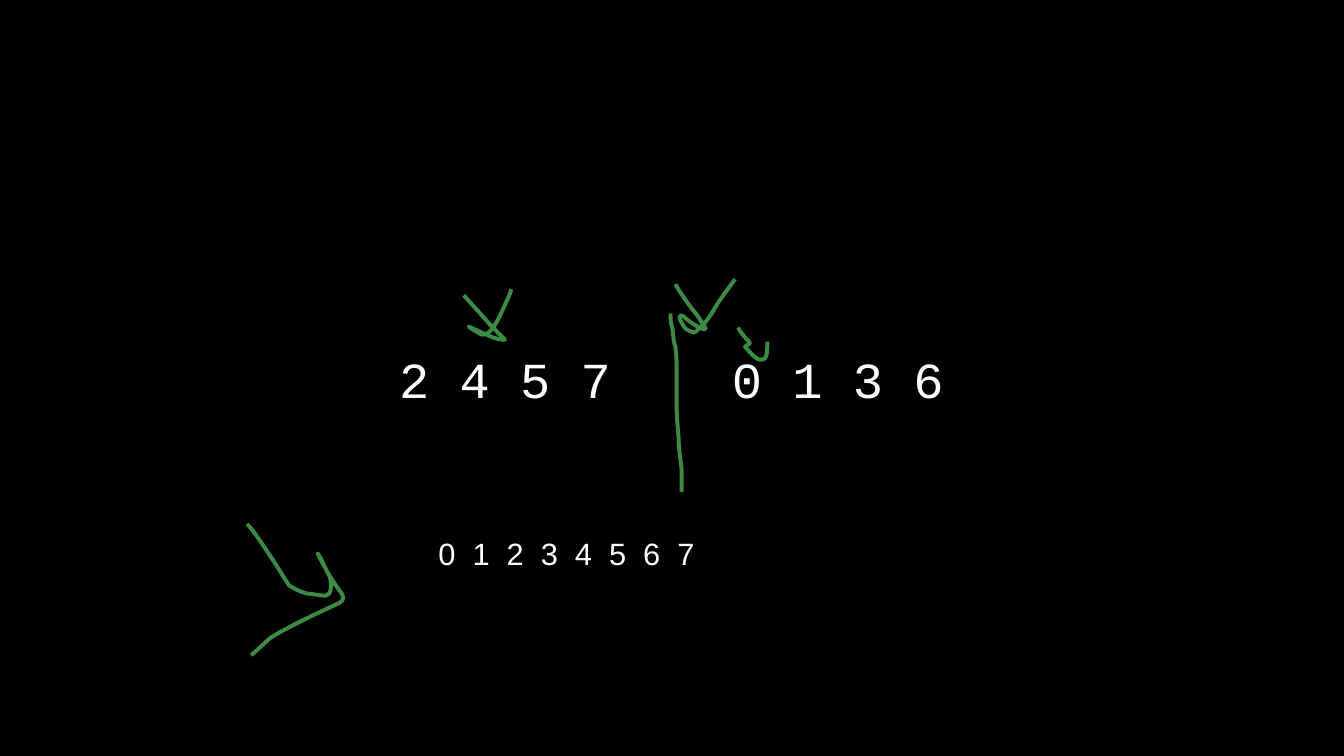
from lxml import etree
from pptx import Presentation
from pptx.dml.color import RGBColor
from pptx.enum import text
from pptx.oxml.ns import qn
from pptx.util import Inches, Pt

BLACK, WHITE, GREEN = "000000", "FFFFFF", "3D8A44"
HALVES = ("2 4 5 7", "0 1 3 6")
MERGED = "0 1 2 3 4 5 6 7"

# Each pen stroke: a start point, then two control points and an end point per curve.
DIVIDER = [
    (6.65, 3.11),
    (6.65, 3.16), (6.65, 3.21), (6.67, 3.26),
    (6.68, 3.35), (6.68, 3.4), (6.7, 3.44),
    (6.7, 3.49), (6.71, 3.53), (6.71, 3.58),
    (6.71, 3.63), (6.71, 3.7), (6.71, 3.79),
    (6.71, 3.87), (6.71, 3.95), (6.71, 4),
    (6.71, 4.1), (6.72, 4.23), (6.73, 4.33),
    (6.73, 4.43), (6.75, 4.57), (6.76, 4.65),
    (6.76, 4.75), (6.76, 4.83), (6.76, 4.88),
]
LEFT_ARROW = [
    (4.6, 2.93),
    (4.7, 3.04), (4.8, 3.15), (4.85, 3.21),
    (4.9, 3.26), (4.97, 3.33), (5.01, 3.37),
    (4.92, 3.37), (4.87, 3.34), (4.78, 3.3),
    (4.74, 3.28), (4.69, 3.26), (4.65, 3.24),
    (4.7, 3.28), (4.74, 3.3), (4.78, 3.32),
    (4.83, 3.33), (4.89, 3.28), (4.97, 3.11),
    (5.01, 3.02), (5.04, 2.96), (5.06, 2.91),
    (5.06, 2.91), (5.07, 2.87), (5.07, 2.87),
]
RIGHT_ARROW = [
    (6.7, 2.82),
    (6.72, 2.87), (6.81, 2.99), (6.86, 3.06),
    (6.91, 3.12), (6.94, 3.16), (6.96, 3.2),
    (6.99, 3.24), (7.03, 3.28), (6.96, 3.26),
    (6.91, 3.24), (6.82, 3.18), (6.78, 3.14),
    (6.73, 3.11), (6.73, 3.16), (6.76, 3.2),
    (6.78, 3.25), (6.82, 3.29), (6.89, 3.3),
    (6.99, 3.21), (7.04, 3.15), (7.1, 3.04),
    (7.14, 2.97), (7.22, 2.87), (7.29, 2.77),
]
MERGE_ARROW = [
    (2.45, 5.2),
    (2.52, 5.26), (2.66, 5.49), (2.73, 5.59),
    (2.8, 5.7), (2.82, 5.74), (2.87, 5.81),
    (2.92, 5.84), (2.97, 5.87), (3.05, 5.89),
    (3.11, 5.89), (3.16, 5.91), (3.23, 5.91),
    (3.28, 5.91), (3.3, 5.81), (3.27, 5.72),
    (3.2, 5.59), (3.19, 5.54), (3.15, 5.49),
    (3.24, 5.67), (3.3, 5.77), (3.37, 5.86),
    (3.41, 5.91), (3.42, 5.95), (3.37, 5.98),
    (3.2, 6.06), (2.87, 6.21), (2.68, 6.33),
    (2.58, 6.42), (2.52, 6.48), (2.49, 6.5),
]
ZERO_HOOK = [
    (7.32, 3.25),
    (7.34, 3.29), (7.37, 3.33), (7.42, 3.38),
    (7.46, 3.43), (7.42, 3.4), (7.39, 3.44),
    (7.43, 3.49), (7.47, 3.53), (7.51, 3.56),
    (7.55, 3.58), (7.59, 3.57), (7.6, 3.53),
    (7.61, 3.49), (7.61, 3.44), (7.61, 3.39),
]
STROKES = (DIVIDER, LEFT_ARROW, RIGHT_ARROW, MERGE_ARROW)


def rgb(value):
    return RGBColor.from_string(value)


def place(sp, left, top, width, height):
    sp.left, sp.top, sp.width, sp.height = map(Inches, (left, top, width, height))


def add_run(p, words, *, size, font, color=WHITE, tracking=0):
    """Add a run; tracking is extra space after each character, in points."""
    r = p.add_run()
    r.text = words
    r.font.size, r.font.name, r.font.bold = Pt(size), font, False
    r.font.color.rgb = rgb(color)
    if tracking:
        r._r.get_or_add_rPr().set("spc", str(round(tracking * 100)))


def bend(sp):
    """Turn every three line segments of a freeform into one cubic curve."""
    outline = sp._element.xpath(".//a:path")[0]
    lines = outline.findall(qn("a:lnTo"))
    for i in range(0, len(lines), 3):
        curve = etree.SubElement(outline, qn("a:cubicBezTo"))
        for line in lines[i:i + 3]:
            curve.append(line[0])
            outline.remove(line)


def draw_stroke(s, stroke):
    start, *rest = [(Inches(x), Inches(y)) for x, y in stroke]
    builder = s.shapes.build_freeform(*start)
    builder.add_line_segments(rest, close=False)
    sp = builder.convert_to_shape()
    bend(sp)
    sp.shadow.inherit = False
    sp.fill.background()
    sp.line.color.rgb = rgb(GREEN)
    sp.line.width = Pt(2.83)


def main():
    prs = Presentation()
    prs.slide_width, prs.slide_height = Inches(13.33), Inches(7.5)
    s = prs.slides.add_slide(prs.slide_layouts[5])
    s.background.fill.solid()
    s.background.fill.fore_color.rgb = rgb(BLACK)

    title = s.shapes.title
    place(title, 0.45, 3.14, 12.42, 1.23)
    tf = title.text_frame
    tf.auto_size = text.MSO_AUTO_SIZE.NONE
    tf.vertical_anchor = text.MSO_ANCHOR.MIDDLE
    tf.margin_left = tf.margin_right = tf.margin_top = tf.margin_bottom = Inches(0.1)
    p = tf.paragraphs[0]
    p.alignment = text.PP_ALIGN.CENTER
    style = dict(size=36, font="Courier New")
    add_run(p, HALVES[0], **style)
    add_run(p, " ", tracking=3 * 0.6 * 36, **style)  # three more characters wide
    add_run(p, HALVES[1], **style)

    for stroke in STROKES:
        draw_stroke(s, stroke)

    box = s.shapes.add_textbox(0, 0, 0, 0)
    place(box, 4.25, 5.26, 5.65, 0.47)
    box.text_frame.word_wrap = True
    box.text_frame.auto_size = text.MSO_AUTO_SIZE.SHAPE_TO_FIT_TEXT
    add_run(box.text_frame.paragraphs[0], MERGED, size=22, font="Arial", tracking=3.06)

    draw_stroke(s, ZERO_HOOK)
    prs.save("out.pptx")


if __name__ == "__main__":
    main()
